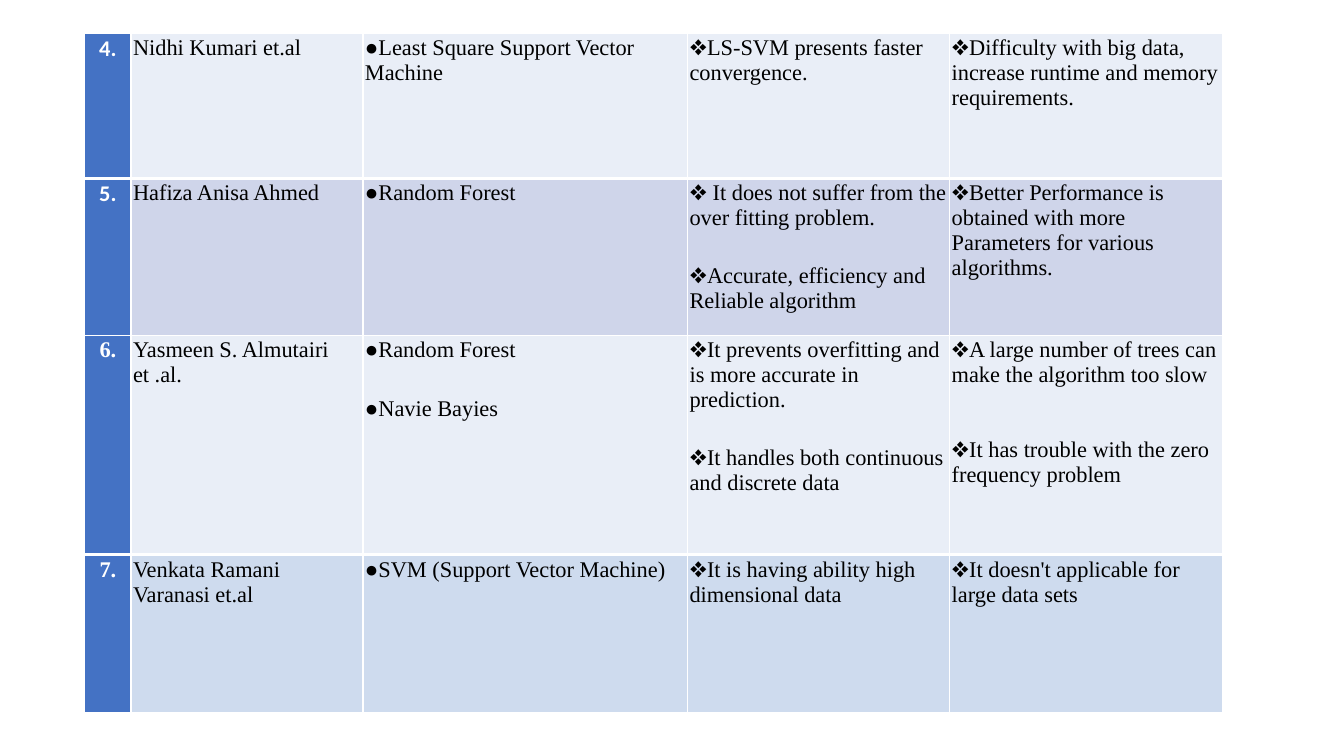
from lxml.etree import SubElement
from pptx import Presentation
from pptx.dml.color import RGBColor
from pptx.enum.text import PP_ALIGN
from pptx.oxml.ns import qn
from pptx.util import Inches, Pt

COLORS = {
    "white": "FFFFFF",
    "black": "000000",
    "number": "4472C4",
    "light": "E9EEF7",
    "band": "CFD5EA",
    "sky": "CEDBEE",
}
SERIF, SANS = "Times New Roman", "Calibri"
LEFT = 0.84
COLUMN_WIDTHS = [0.46, 2.3, 3.22, 2.6, 2.71]
THIN, THICK = 1, 3
PARAGRAPH_GAP, WIDE_GAP = 12, 18

# Each row: height, fill, number font, bottom border, last-column gap, cells
ROW_4 = (1.44, "light", SANS, THICK, PARAGRAPH_GAP, [
    ["4."],
    ["Nidhi Kumari et.al"],
    ["●Least Square Support Vector Machine"],
    ["❖LS-SVM presents faster convergence."],
    ["❖Difficulty with big data, increase runtime and memory requirements."],
])
ROW_5 = (1.57, "band", SANS, THIN, PARAGRAPH_GAP, [
    ["5."],
    ["Hafiza Anisa Ahmed"],
    ["●Random Forest"],
    ["❖ It does not suffer from the over fitting problem.",
     "❖Accurate, efficiency and Reliable algorithm"],
    ["❖Better Performance is obtained with more Parameters for various algorithms."],
])
ROW_6 = (2.17, "light", SERIF, THICK, WIDE_GAP, [
    ["6."],
    ["Yasmeen S. Almutairi et .al."],
    ["●Random Forest", "●Navie Bayies"],
    ["❖It prevents overfitting and is more accurate in prediction.",
     "❖It handles both continuous and discrete data"],
    ["❖A large number of trees can make the algorithm too slow",
     "❖It has trouble with the zero frequency problem"],
])
ROW_7 = (1.57, "sky", SERIF, THICK, PARAGRAPH_GAP, [
    ["7."],
    ["Venkata Ramani Varanasi et.al"],
    ["●SVM (Support Vector Machine)"],
    ["❖It is having ability high dimensional data"],
    ["❖It doesn't applicable for large data sets"],
])
TABLES = [(0.33, [ROW_4, ROW_5]), (3.33, [ROW_6]), (5.51, [ROW_7])]


def set_borders(cell, top, bottom):
    properties = cell._tc.get_or_add_tcPr()
    for side, width in (("L", THIN), ("R", THIN), ("T", top), ("B", bottom)):
        line = SubElement(properties, qn(f"a:ln{side}"), w=str(Pt(width)))
        fill = SubElement(line, qn("a:solidFill"))
        SubElement(fill, qn("a:srgbClr"), val=COLORS["white"])


def fill_cell(cell, color):
    cell.fill.solid()
    cell.fill.fore_color.rgb = RGBColor.from_string(COLORS[color])


def write_cell(cell, texts, font_name, is_number, gap):
    cell.margin_left = cell.margin_right = Inches(0.02)
    cell.margin_top = cell.margin_bottom = Inches(0.02)
    frame = cell.text_frame
    frame.text = "\n".join(texts)
    for paragraph in frame.paragraphs:
        paragraph.alignment = PP_ALIGN.CENTER if is_number else PP_ALIGN.LEFT
        paragraph.space_before = paragraph.space_after = Pt(gap)
        font = paragraph.font
        font.name, font.size, font.bold = font_name, Pt(16), is_number
        color = COLORS["white" if is_number else "black"]
        font.color.rgb = RGBColor.from_string(color)


def add_survey_table(slide, top, rows):
    height = sum(row[0] for row in rows)
    table = slide.shapes.add_table(
        len(rows), len(COLUMN_WIDTHS), Inches(LEFT), Inches(top),
        Inches(sum(COLUMN_WIDTHS)), Inches(height)).table
    table.first_row = table.horz_banding = False
    for column, width in zip(table.columns, COLUMN_WIDTHS):
        column.width = Inches(width)

    top_border = THIN
    for table_row, row in zip(table.rows, rows):
        height, color, number_font, bottom_border, last_gap, cells = row
        table_row.height = Inches(height)
        for index, (cell, texts) in enumerate(zip(table_row.cells, cells)):
            is_number = index == 0
            is_last = index == len(cells) - 1
            set_borders(cell, top_border, bottom_border)
            fill_cell(cell, "number" if is_number else color)
            write_cell(cell, texts, number_font if is_number else SERIF,
                       is_number, last_gap if is_last else PARAGRAPH_GAP)
        top_border = bottom_border


def main():
    presentation = Presentation()
    presentation.slide_width = Inches(13.33)
    presentation.slide_height = Inches(7.5)
    slide = presentation.slides.add_slide(presentation.slide_layouts[6])
    for top, rows in TABLES:
        add_survey_table(slide, top, rows)
    presentation.save("out.pptx")


if __name__ == "__main__":
    main()
